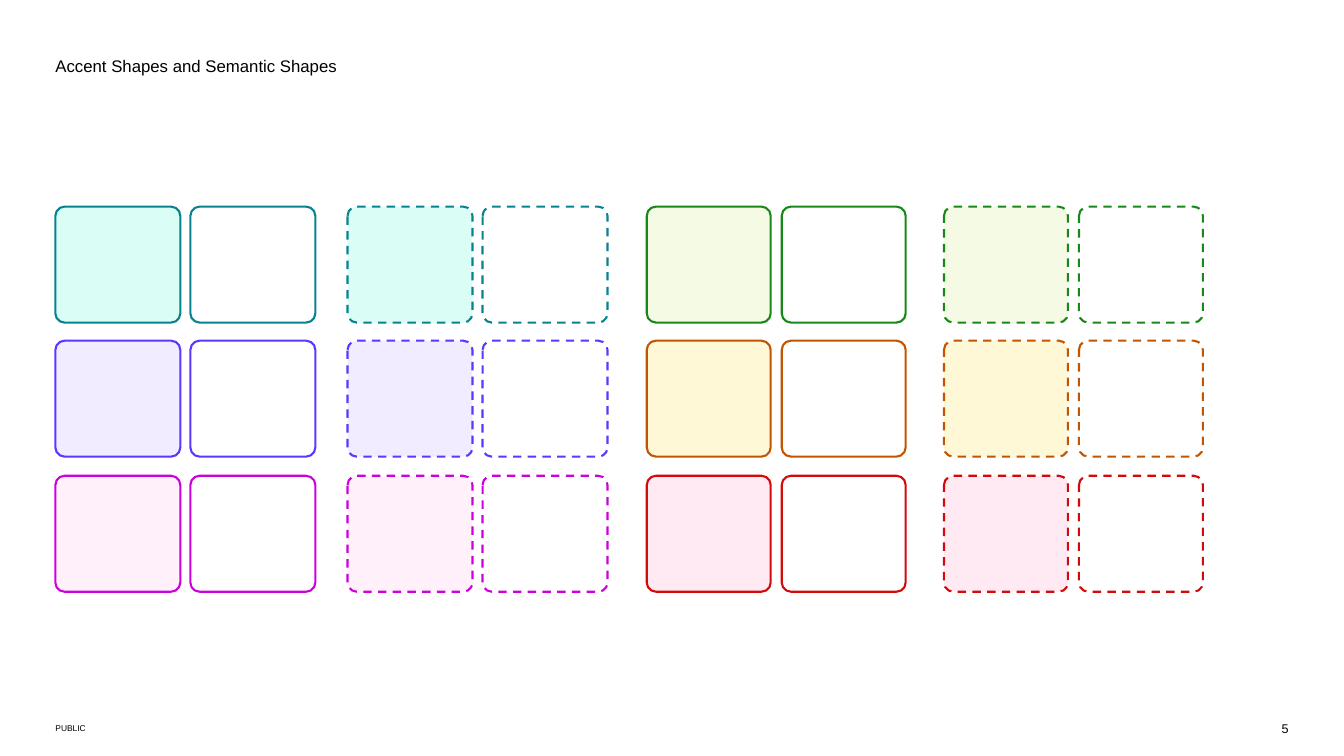
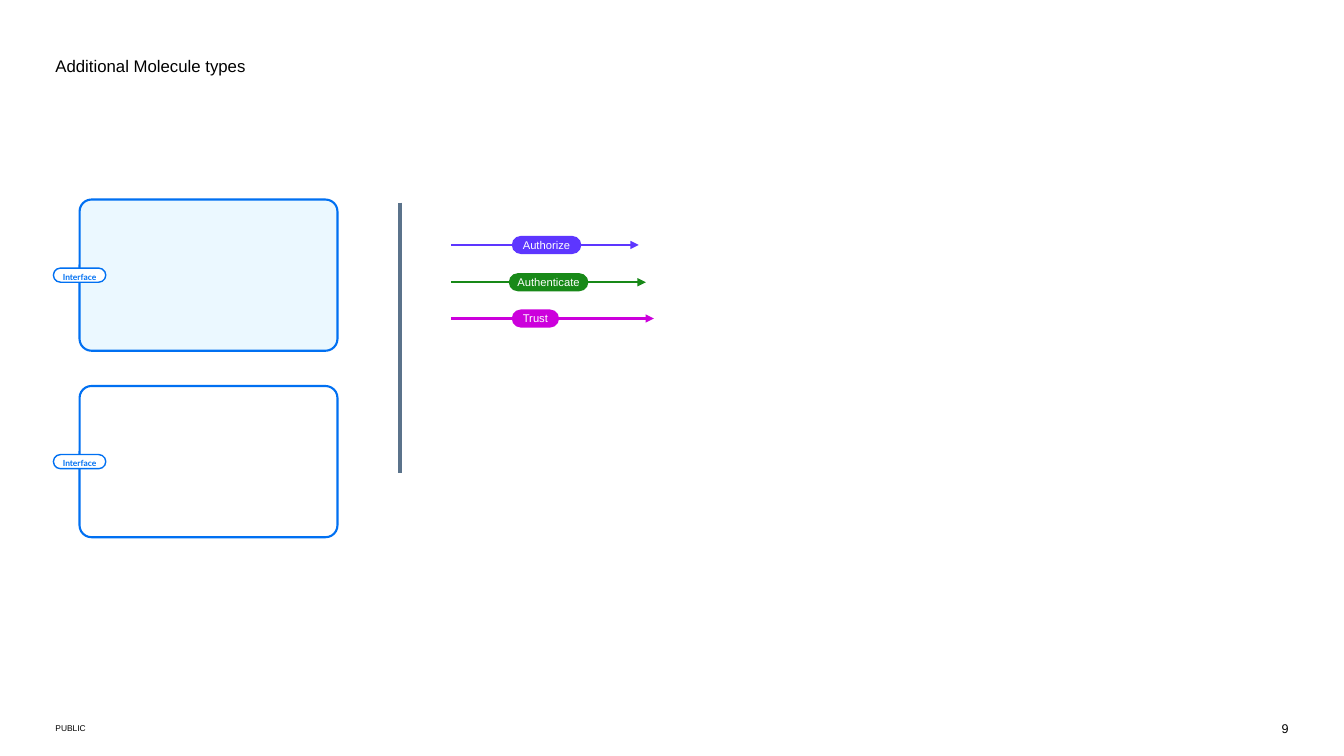
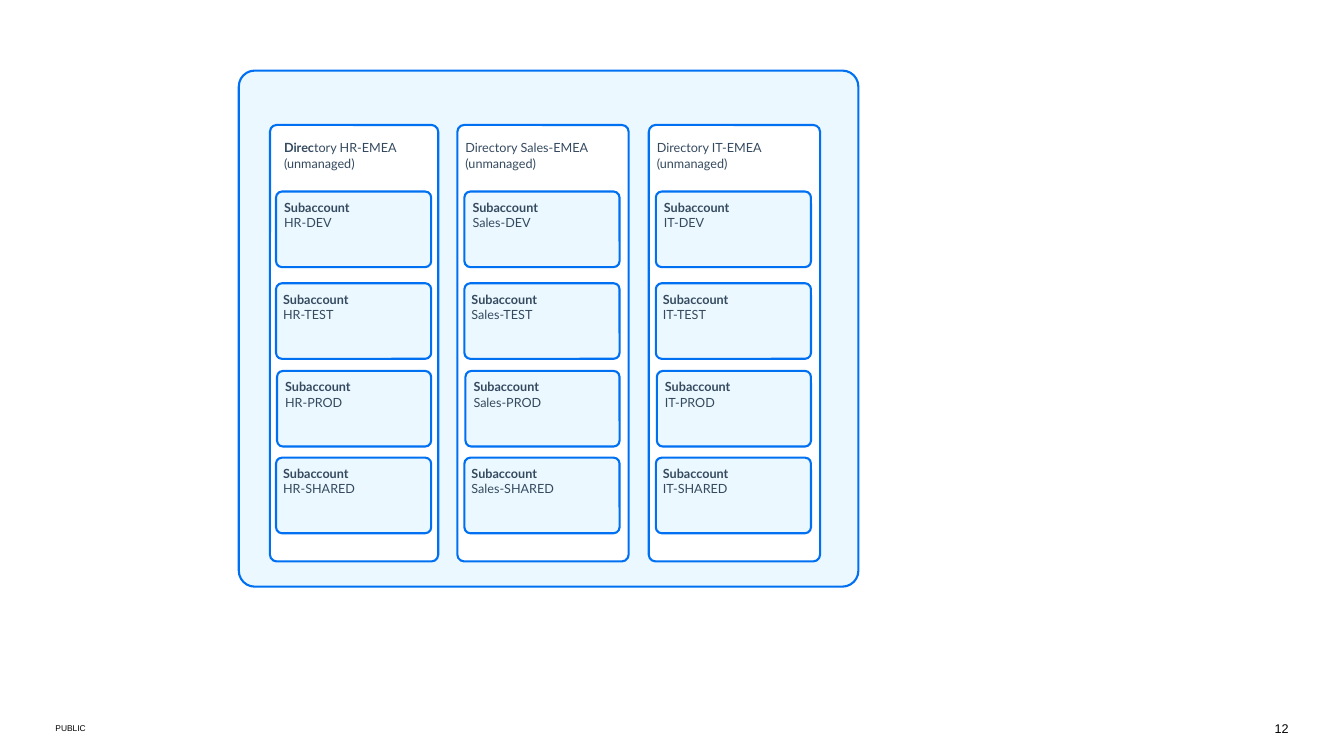
from lxml import etree
from pptx import Presentation
from pptx.dml.color import RGBColor
from pptx.enum.dml import MSO_LINE
from pptx.enum.shapes import MSO_CONNECTOR, MSO_SHAPE
from pptx.enum.text import MSO_ANCHOR, MSO_AUTO_SIZE, PP_ALIGN
from pptx.oxml.ns import qn
from pptx.util import Emu, Pt

PX = 9144
TITLE_ONLY, BLANK = 5, 6
ROUND = MSO_SHAPE.ROUNDED_RECTANGLE
STRAIGHT = MSO_CONNECTOR.STRAIGHT
DASH = MSO_LINE.DASH
LEFT, CENTER, RIGHT = PP_ALIGN.LEFT, PP_ALIGN.CENTER, PP_ALIGN.RIGHT
TOP, MIDDLE = MSO_ANCHOR.TOP, MSO_ANCHOR.MIDDLE
NO_FIT = MSO_AUTO_SIZE.NONE

COLORS = {
    "black": "000000", "white": "FFFFFF", "blue": "0070F2", "pale_blue": "EBF8FF",
    "ink": "354A5F", "slate": "5B738B",
    "teal": "07838F", "pale_teal": "DAFDF5",
    "indigo": "5D36FF", "pale_indigo": "F1ECFF",
    "pink": "CC00DC", "pale_pink": "FFF0FA",
    "green": "188918", "pale_green": "F5FAE5",
    "orange": "C35500", "pale_orange": "FFF8D6",
    "red": "D20A0A", "pale_red": "FFEAF4",
}

ACCENTS = ("teal", "indigo", "pink")
SEMANTICS = ("green", "orange", "red")
SWATCH_GROUPS = [
    (55, 124, ACCENTS, None),
    (345, 124, ACCENTS, DASH),
    (642, 123, SEMANTICS, None),
    (937, 123, SEMANTICS, DASH),
]
SWATCH_ROWS = (205, 338, 472)
SWATCH_STEP, SWATCH_HEIGHT = 134, 115

MOLECULES = [(198, "pale_blue"), (383, "white")]
FLOWS = [
    ("Authorize", "indigo", 243, 508, 69, 634),
    ("Authenticate", "green", 280, 505, 79, 641),
    ("Trust", "pink", 316, 508, 47, 649),
]
FLOW_START = 448

DIRECTORIES = [
    ("HR", [[("Direc", True), ("tory HR-EMEA", False)]], 268, 167, 282, 274),
    ("Sales", [[("Directory Sales-EMEA", False)]], 454, 170, 462, 461),
    ("IT", [[("Directory IT-EMEA", False)]], 644, 170, 652, 651),
]
STAGES = [("DEV", 190, 0, 8), ("TEST", 281, 0, 7), ("PROD", 368, 1, 8), ("SHARED", 454, 0, 7)]


def px(*values):
    return [Emu(v * PX) for v in values]


def rgb(name):
    return RGBColor.from_string(COLORS[name])


def write(shape, lines, size=9, font="Arial", color="black", align=LEFT, anchor=TOP,
          spacing=None):
    tf = shape.text_frame
    tf.word_wrap = True
    tf.auto_size = NO_FIT
    tf.vertical_anchor = anchor
    tf.margin_left = tf.margin_right = tf.margin_top = tf.margin_bottom = 0
    if isinstance(lines, str):
        lines = [[(lines, False)]]
    p = tf.paragraphs[0]
    p.alignment = align
    if spacing:
        p.line_spacing = Pt(spacing)
    for i, line in enumerate(lines):
        if i:
            p.add_line_break()
        for text, bold in line:
            r = p.add_run()
            r.text = text
            r.font.size, r.font.name, r.font.bold = Pt(size), font, bold
            r.font.color.rgb = rgb(color)


def add_text(s, box, lines, **style):
    write(s.shapes.add_textbox(*px(*box)), lines, **style)


def add_box(s, box, fill, line=None, width=1.5, dash=None, adj=0.079):
    sp = s.shapes.add_shape(ROUND, *px(*box))
    sp.adjustments[0] = adj
    sp.shadow.inherit = False
    sp.fill.solid()
    sp.fill.fore_color.rgb = rgb(fill)
    if line:
        sp.line.color.rgb = rgb(line)
        sp.line.width = Pt(width)
        if dash:
            sp.line.dash_style = dash
    else:
        sp.line.fill.background()
    return sp


def add_line(s, x1, y1, x2, y2, color, width=1.5, arrow=False):
    c = s.shapes.add_connector(STRAIGHT, *px(x1, y1, x2, y2))
    c.line.color.rgb = rgb(color)
    c.line.width = Pt(width)
    if arrow:
        etree.SubElement(c.line._get_or_add_ln(), qn("a:tailEnd"), type="triangle")
    etree.SubElement(c._element.spPr, qn("a:effectLst"))


def add_slide(prs, number, title=None):
    s = prs.slides.add_slide(prs.slide_layouts[TITLE_ONLY if title else BLANK])
    if title:
        sp = s.shapes.title
        sp.left, sp.top, sp.width, sp.height = px(55, 55, 1223, 20)
        write(sp, title, size=12)
    add_text(s, (1239, 715, 40, 15), str(number), align=RIGHT)
    add_text(s, (55, 715, 1111, 15), "PUBLIC", size=6, anchor=MIDDLE)
    return s


def build_swatches(prs):
    s = add_slide(prs, 5, "Accent Shapes and Semantic Shapes")
    for x, w, names, dash in SWATCH_GROUPS:
        for name, y in zip(names, SWATCH_ROWS):
            for i, fill in enumerate(("pale_" + name, "white")):
                box = (x + i * SWATCH_STEP, y, w, SWATCH_HEIGHT)
                add_box(s, box, fill, name, dash=dash)


def build_molecules(prs):
    s = add_slide(prs, 9, "Additional Molecule types")
    add_line(s, 397, 201, 397, 469, "slate", width=3)
    for y, fill in MOLECULES:
        add_box(s, (79, y, 256, 150), fill, "blue")
        add_box(s, (53, y + 68, 52, 14), "white", "blue", width=1, adj=0.5)
        add_text(s, (58, y + 64, 42, 22), [[("Interface", True)]], size=6, font="Lato",
                 color="blue", align=CENTER, spacing=12.9)
    for label, color, y, x, w, end in FLOWS:
        add_line(s, FLOW_START, y, x, y, color)
        add_line(s, x + w, y, end, y, color, arrow=True)
        pill = add_box(s, (x, y - 9, w, 18), color, adj=0.5)
        write(pill, label, size=8, color="white", align=CENTER, anchor=MIDDLE)


def build_directories(prs):
    s = add_slide(prs, 12)
    style = dict(font="Lato", color="ink", spacing=11)
    add_box(s, (237, 70, 615, 512), "pale_blue", "blue", adj=0.031)
    for name, heading, x, w, heading_x, account_x in DIRECTORIES:
        add_box(s, (x, 124, w, 433), "white", "blue", adj=0.04)
        add_text(s, (heading_x, 139, 154, 21), heading + [[("(unmanaged)", False)]], **style)
        for stage, y, shift, inset in STAGES:
            left = account_x + shift
            add_box(s, (left, y, 154 - shift, 75), "pale_blue", "blue")
            lines = [[("Subaccount", True)], [(f"{name}-{stage}", False)]]
            add_text(s, (left + inset, y + 8, 138, 21), lines, **style)


def main():
    prs = Presentation()
    prs.slide_width, prs.slide_height = px(1334, 750)
    build_swatches(prs)
    build_molecules(prs)
    build_directories(prs)
    prs.save("out.pptx")


if __name__ == "__main__":
    main()
